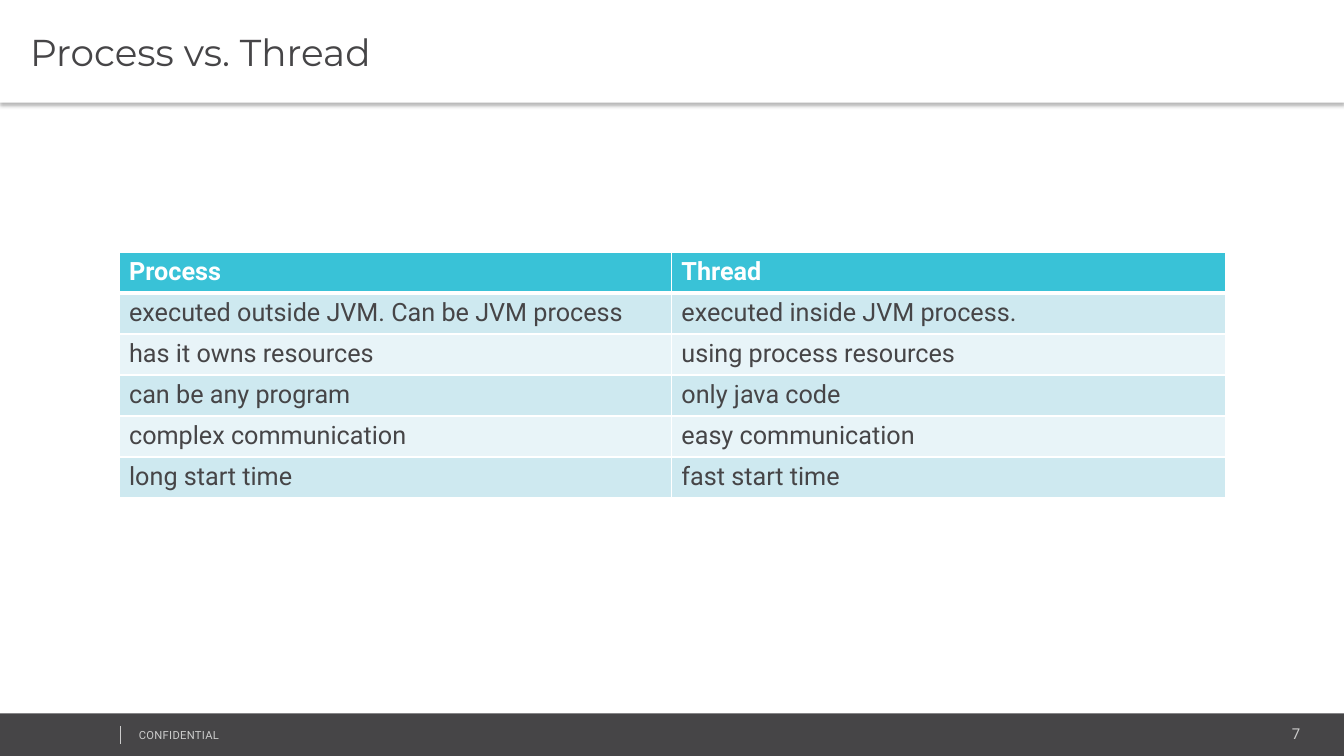
from dataclasses import dataclass

from lxml.etree import SubElement
from pptx import Presentation
from pptx.dml.color import RGBColor
from pptx.enum.shapes import MSO_CONNECTOR, MSO_SHAPE
from pptx.enum.text import MSO_ANCHOR, PP_ALIGN
from pptx.oxml import parse_xml
from pptx.oxml.ns import nsdecls, qn
from pptx.util import Cm, Pt


@dataclass(frozen=True)
class Theme:
    white: str = "FFFFFF"
    dark: str = "464547"
    muted: str = "CCCCCC"
    accent: str = "39C2D7"
    bands: tuple = ("CEE9F0", "E8F4F8")
    shadow: str = "000000"
    heading_font: str = "Montserrat"
    body_font: str = "Roboto"
    title_size: float = 26.7
    table_size: float = 18
    number_size: float = 10.7
    footer_size: float = 8


class SlideBuilder:
    def __init__(self, slide, theme):
        self.slide = slide
        self.theme = theme

    def add_words(self, frame, text, size, color, font=None, bold=False, alignment=PP_ALIGN.LEFT):
        paragraph = frame.paragraphs[0]
        paragraph.alignment = alignment
        run = paragraph.add_run()
        run.text = text
        values = {"name": font or self.theme.body_font, "size": Pt(size), "bold": bold}
        for name, value in values.items():
            setattr(run.font, name, value)
        run.font.color.rgb = RGBColor.from_string(color)
        return run

    def bar(self, left, top, width, height, color):
        shape = self.slide.shapes.add_shape(
            MSO_SHAPE.RECTANGLE, Cm(left), Cm(top), Cm(width), Cm(height)
        )
        shape.shadow.inherit = False
        shape.fill.solid()
        shape.fill.fore_color.rgb = RGBColor.from_string(color)
        shape.line.fill.background()
        return shape

    def title(self, text, width, height):
        shape = self.bar(0, 0, width, height, self.theme.white)
        effects = shape._element.spPr.find(qn("a:effectLst"))
        effects.append(parse_xml(
            f'<a:outerShdw {nsdecls("a")} blurRad="{Pt(3.1)}" dist="{Pt(2)}" dir="5400000" '
            f'algn="t" rotWithShape="0"><a:srgbClr val="{self.theme.shadow}">'
            '<a:alpha val="30000"/></a:srgbClr></a:outerShdw>'
        ))
        frame = shape.text_frame
        values = {
            "vertical_anchor": MSO_ANCHOR.MIDDLE, "word_wrap": True, "margin_left": Cm(0.76),
            "margin_right": Cm(0.18), "margin_top": Cm(0.1), "margin_bottom": Cm(0.1),
        }
        for name, value in values.items():
            setattr(frame, name, value)
        self.add_words(frame, text, self.theme.title_size, self.theme.dark, self.theme.heading_font)
        frame.paragraphs[0].space_before = Pt(5.3)

    def text(self, text, left, top, width, height, size, alignment=PP_ALIGN.LEFT, spacing=0):
        box = self.slide.shapes.add_textbox(Cm(left), Cm(top), Cm(width), Cm(height))
        box.text_frame.word_wrap = True
        run = self.add_words(box.text_frame, text, size, self.theme.muted, alignment=alignment)
        if spacing:
            run.font._element.set("spc", str(spacing))

    def divider(self, x, top, bottom):
        line = self.slide.shapes.add_connector(
            MSO_CONNECTOR.STRAIGHT, Cm(x), Cm(top), Cm(x), Cm(bottom)
        )
        line.line.color.rgb = RGBColor.from_string(self.theme.muted)
        line.line.width = Pt(0.25)
        SubElement(line._element.spPr, qn("a:effectLst"))

    def borders(self, cell, widths):
        properties = cell._tc.get_or_add_tcPr()
        for position, (side, width) in enumerate(widths.items()):
            properties.insert(position, parse_xml(
                f'<a:ln{side} {nsdecls("a")} w="{Pt(width)}"><a:solidFill>'
                f'<a:srgbClr val="{self.theme.white}"/></a:solidFill></a:ln{side}>'
            ))

    def table(self, rows, left, top, column_widths, height):
        table = self.slide.shapes.add_table(
            len(rows), len(column_widths), Cm(left), Cm(top), Cm(sum(column_widths)), Cm(height)
        ).table
        for column, width in zip(table.columns, column_widths):
            column.width = Cm(width)
        for row_index, row in enumerate(rows):
            header = row_index == 0
            fill = self.theme.accent if header else self.theme.bands[(row_index - 1) % 2]
            color = self.theme.white if header else self.theme.dark
            widths = {"L": 1, "R": 1, "T": 3 if row_index == 1 else 1, "B": 3 if header else 1}
            for column_index, text in enumerate(row):
                cell = table.cell(row_index, column_index)
                cell.fill.solid()
                cell.fill.fore_color.rgb = RGBColor.from_string(fill)
                self.borders(cell, widths)
                self.add_words(cell.text_frame, text, self.theme.table_size, color, bold=header)


def main():
    presentation = Presentation()
    presentation.slide_width = Cm(33.87)
    presentation.slide_height = Cm(19.05)
    theme = Theme()
    builder = SlideBuilder(presentation.slides.add_slide(presentation.slide_layouts[6]), theme)

    builder.bar(0, 17.98, 33.87, 1.07, theme.dark)
    builder.text("7", 27.48, 18.14, 5.54, 0.71, theme.number_size, PP_ALIGN.RIGHT)
    builder.text("CONFIDENTIAL", 3.25, 18.24, 8.59, 0.61, theme.footer_size, spacing=20)
    builder.divider(3.02, 18.29, 18.75)
    builder.title("Process vs. Thread", 33.87, 2.59)

    comparison = [
        ("Process", "Thread"),
        ("executed outside JVM. Can be JVM process", "executed inside JVM process."),
        ("has it owns resources", "using process resources"),
        ("can be any program", "only java code"),
        ("complex communication", "easy communication"),
        ("long start time", "fast start time"),
    ]
    builder.table(comparison, 3, 6.35, (13.92, 13.97), 6.2)
    presentation.save("out.pptx")


if __name__ == "__main__":
    main()
